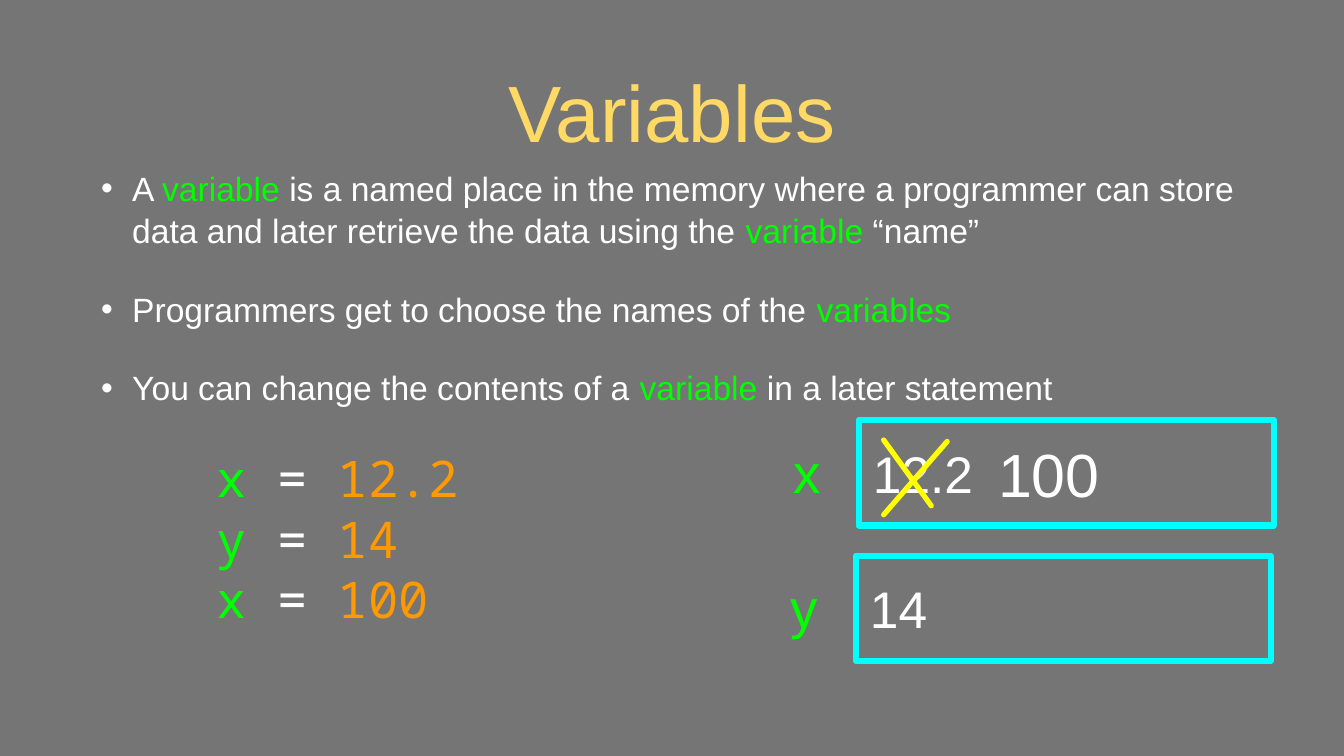
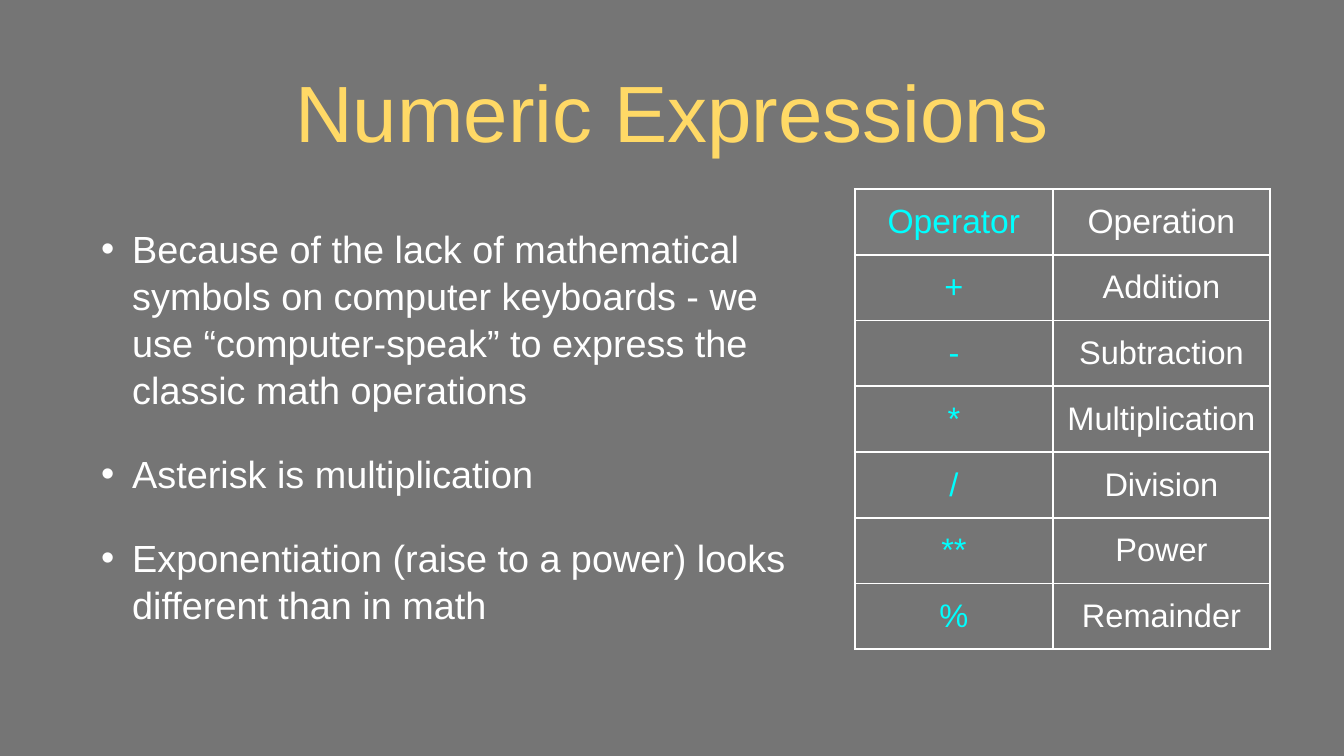
from pptx import Presentation, util as u
from pptx.dml.color import RGBColor
from pptx.enum import shapes, text
from pptx.oxml.ns import qn
from lxml import etree

# Shared look
W, H = 17.78, 10
GREY, HEAD, WHITE, GOLD = "757575", "7A7A7A", "FFFFFF", "FFD966"
GREEN, CYAN, YELLOW, ORANGE = "00FF00", "00FFFF", "FFFF00", "FF9900"
SANS, MONO = "Arial", "Noto Sans Mono"
MARGIN, BODY_TOP, INSET = W / 20, 2.33, 0.04
CENTER, LEFT = text.PP_ALIGN.CENTER, text.PP_ALIGN.LEFT

# Content: a paragraph is a list of (words, colour) runs
VARIABLES = [
    [("A ", WHITE), ("variable", GREEN),
     (" is a named place in the memory where a programmer can store data "
      "and later retrieve the data using the ", WHITE),
     ("variable ", GREEN), ("“name”", WHITE)],
    [("Programmers get to choose the names of the ", WHITE), ("variables", GREEN)],
    [("You can change the contents of a ", WHITE), ("variable ", GREEN),
     ("in a later statement", WHITE)],
]
ASSIGNMENTS = [("x", "12.2"), ("y", "14"), ("x", "100")]
# name, first value, left and top of its memory box
MEMORY = [("x", "12.2", 11.36, 5.56), ("y", "14", 11.32, 7.35)]
CROSS = [(12.53, 5.84, 11.69, 6.81), (11.69, 5.82, 12.32, 6.69)]
EXPRESSIONS = [
    [("Because of the lack of mathematical symbols on computer keyboards - we use "
      "“computer-speak” to express the classic math operations", WHITE)],
    [("Asterisk is multiplication", WHITE)],
    [("Exponentiation (raise to a power) looks different than in math", WHITE)],
]
OPERATORS = [("Operator", "Operation"), ("+", "Addition"), ("-", "Subtraction"),
             ("*", "Multiplication"), ("/", "Division"), ("**", "Power"),
             ("%", "Remainder")]


def rgb(value):
    return RGBColor.from_string(value)


def inches(*lengths):
    return [u.Inches(n) for n in lengths]


def add_runs(p, runs, size, font=SANS, align=LEFT):
    p.alignment = align
    for words, color in runs:
        r = p.add_run()
        r.text = words
        r.font.size, r.font.name = u.Pt(size), font
        r.font.color.rgb = rgb(color)


def fill_text(s, paragraphs, size, font=SANS, align=LEFT, inset=0):
    tf = s.text_frame
    tf.word_wrap = True
    tf.vertical_anchor = text.MSO_ANCHOR.MIDDLE
    tf.margin_left = tf.margin_right = tf.margin_top = tf.margin_bottom = u.Inches(inset)
    for i, runs in enumerate(paragraphs):
        p = tf.add_paragraph() if i else tf.paragraphs[0]
        add_runs(p, runs, size, font, align)
    return tf


def add_text(sp, box, paragraphs, size, **style):
    return fill_text(sp.add_textbox(*inches(*box)), paragraphs, size, **style)


def add_bullets(sp, width, height, paragraphs, size):
    tf = add_text(sp, (MARGIN, BODY_TOP, width, height), paragraphs, size, inset=INSET)
    for i, p in enumerate(tf.paragraphs):
        p.line_spacing = 1.04
        p.space_before = u.Pt(35 if i else 0)
        pPr = p._p.get_or_add_pPr()
        pPr.set("marL", str(u.Inches(0.82)))
        pPr.set("indent", str(u.Inches(-0.41)))
        color = etree.SubElement(pPr, qn("a:buClr"))
        etree.SubElement(color, qn("a:srgbClr"), val=WHITE)
        etree.SubElement(pPr, qn("a:buFont"), typeface=SANS)
        etree.SubElement(pPr, qn("a:buChar"), char="•")


def set_line(s, color, width):
    s.line.color.rgb = rgb(color)
    s.line.width = u.Pt(width)
    ln = s.line._ln
    ln.set("cap", "rnd")
    etree.SubElement(ln, qn("a:round"))


def add_slide(prs, title):
    s = prs.slides.add_slide(prs.slide_layouts[6])
    s.background.fill.solid()
    s.background.fill.fore_color.rgb = rgb(GREY)
    add_text(s.shapes, (MARGIN, 0.86, W - 2 * MARGIN, 1.21), [[(title, GOLD)]], 76,
             align=CENTER, inset=INSET)
    return s.shapes


def add_memory_box(sp, name, value, left, top):
    s = sp.add_shape(shapes.MSO_SHAPE.RECTANGLE, *inches(left, top, 5.49, 1.39))
    s.shadow.inherit = False
    s.fill.background()
    set_line(s, CYAN, 6)
    fill_text(s, [[(" " + value, WHITE)]], 49)
    add_text(sp, (left - 0.93, top + 0.21, 0.49, 0.94), [[(name, GREEN)]], 52, align=CENTER)


def add_stroke(sp, ends):
    s = sp.add_connector(shapes.MSO_CONNECTOR.STRAIGHT, *inches(*ends))
    set_line(s, YELLOW, 5)
    etree.SubElement(s._element.spPr, qn("a:effectLst"))


def style_cell(cell, words, color, size, is_head):
    cell.vertical_anchor = text.MSO_ANCHOR.MIDDLE
    cell.margin_left = cell.margin_right = u.Inches(INSET)
    cell.margin_top = cell.margin_bottom = u.Inches(INSET)
    add_runs(cell.text_frame.paragraphs[0], [(words, color)], size, align=CENTER)
    tcPr = cell._tc.get_or_add_tcPr()
    for side in ("a:lnL", "a:lnR", "a:lnT", "a:lnB"):
        ln = etree.SubElement(tcPr, qn(side), w=str(u.Pt(2)))
        solid = etree.SubElement(ln, qn("a:solidFill"))
        etree.SubElement(solid, qn("a:srgbClr"), val=WHITE)
    if is_head:
        cell.fill.solid()
        cell.fill.fore_color.rgb = rgb(HEAD)
    else:
        cell.fill.background()


def add_operator_table(sp):
    widths, row_height = (2.62, 2.87), 0.87
    table = sp.add_table(len(OPERATORS), len(widths), *inches(
        11.31, 2.5, sum(widths), row_height * len(OPERATORS))).table
    table.first_row = table.horz_banding = False
    for column, width in zip(table.columns, widths):
        column.width = u.Inches(width)
    for i, row in enumerate(OPERATORS):
        table.rows[i].height = u.Inches(row_height)
        for j, (words, color) in enumerate(zip(row, (CYAN, WHITE))):
            style_cell(table.cell(i, j), words, color, 31 if i else 32, i == 0)


def main():
    prs = Presentation()
    prs.slide_width, prs.slide_height = inches(W, H)

    # Variables: bullets, memory boxes, crossed-out value, code
    sp = add_slide(prs, "Variables")
    add_bullets(sp, W - 2 * MARGIN, 2.93, VARIABLES, 32)
    for entry in MEMORY:
        add_memory_box(sp, *entry)
    for ends in CROSS:
        add_stroke(sp, ends)
    add_text(sp, (12.96, 5.75, 1.83, 1.03), [[("100", WHITE)]], 58, align=CENTER)
    code = [[(name + " ", GREEN), ("= ", WHITE), (value, ORANGE)]
            for name, value in ASSIGNMENTS]
    add_text(sp, (2.87, 5.81, 4.42, 2.61), code, 48, font=MONO)

    # Numeric expressions: bullets and operator table
    sp = add_slide(prs, "Numeric Expressions")
    add_bullets(sp, 9.88, 6.6, EXPRESSIONS, 36)
    add_operator_table(sp)

    prs.save("out.pptx")


if __name__ == "__main__":
    main()
